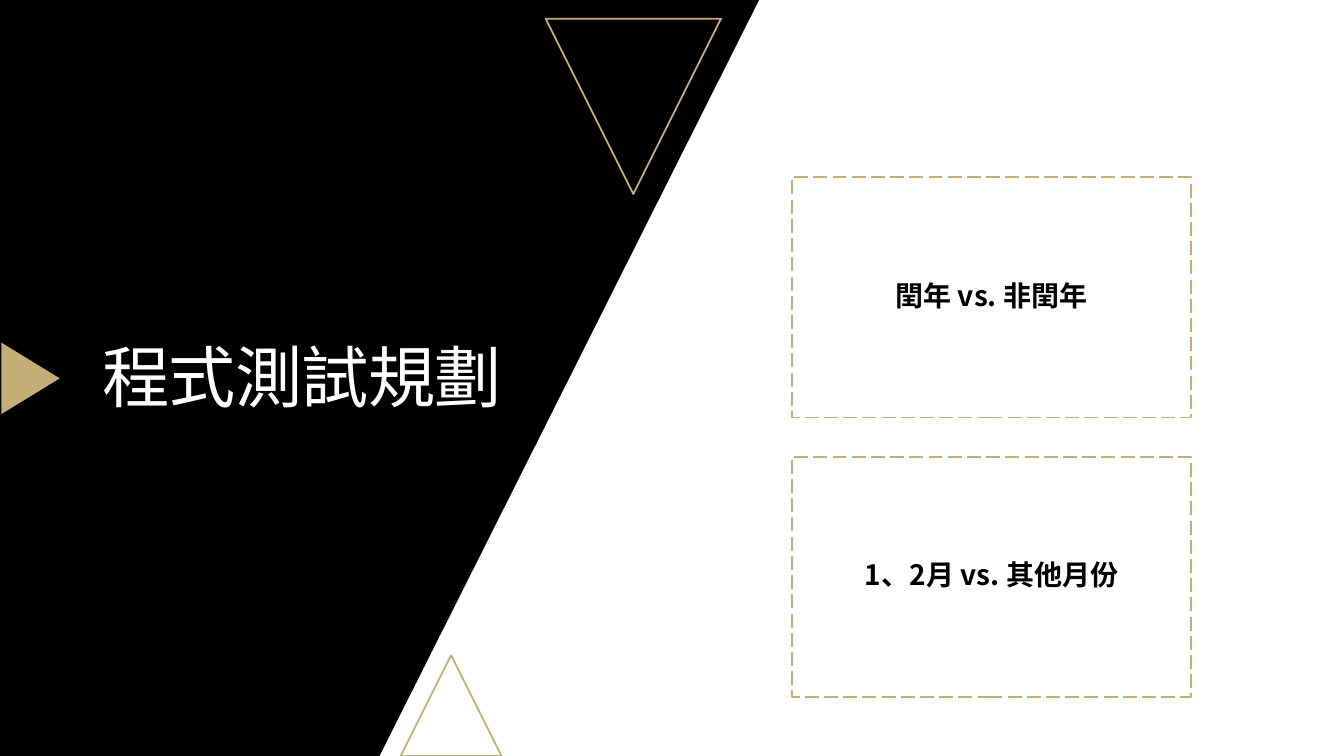
from lxml.etree import SubElement
from pptx import Presentation
from pptx.dml.color import RGBColor
from pptx.enum.dml import MSO_LINE_DASH_STYLE as Dash
from pptx.enum.shapes import MSO_SHAPE as Shape
from pptx.enum.text import MSO_ANCHOR as Anchor, PP_ALIGN as Align
from pptx.oxml.ns import qn
from pptx.util import Cm, Pt

COLORS = {"ink": "000000", "gold": "C4AE75", "paper": "FFFFFF"}
FONT = "Noto Sans CJK TC"
TITLE = "程式測試規劃"
TEST_CASES = ["閏年 vs. 非閏年", "1、2月 vs. 其他月份"]
CARD_MARGINS = {
    "margin_left": Cm(0.2),
    "margin_right": Cm(0.2),
    "margin_top": Cm(0.2),
    "margin_bottom": Cm(0.2),
}
TITLE_FONT = {"size": Pt(48), "name": FONT}
CARD_FONT = {"size": Pt(20), "bold": True, "name": FONT}


def set_all(target, values):
    for name, value in values.items():
        setattr(target, name, value)


def color(name):
    return RGBColor.from_string(COLORS[name])


def paint(outline, fill=None, line=None, dash=None):
    outline.shadow.inherit = False
    if fill:
        outline.fill.solid()
        outline.fill.fore_color.rgb = color(fill)
    else:
        outline.fill.background()
    if line:
        set_all(outline.line, {"width": Pt(1.25), "dash_style": dash})
        outline.line.color.rgb = color(line)
    else:
        outline.line.fill.background()


def write(holder, words, font, ink, space_after=0, tracking=None):
    frame = holder.text_frame
    set_all(frame, {"word_wrap": True, "vertical_anchor": Anchor.MIDDLE})
    paragraph = frame.paragraphs[0]
    set_all(paragraph, {"alignment": Align.CENTER, "line_spacing": 0.9,
                        "space_after": Pt(space_after)})
    run = paragraph.add_run()
    run.text = words
    set_all(run.font, font)
    run.font.color.rgb = color(ink)
    properties = run.font._element
    SubElement(properties, qn("a:ea")).set("typeface", FONT)
    if tracking:
        properties.set("spc", str(tracking))


def add_triangle(slide, left, top, width, height, rotation=0, **look):
    triangle = slide.shapes.add_shape(
        Shape.ISOSCELES_TRIANGLE, left, top, width, height)
    triangle.rotation = rotation
    paint(triangle, **look)


def add_title_panel(slide, left, top, width, height):
    right, bottom = left + width, top + height
    builder = slide.shapes.build_freeform(left, top)
    builder.add_line_segments(
        [(right, top), (left + width // 2, bottom), (left, bottom)])
    paint(builder.convert_to_shape(), fill="ink")

    add_triangle(slide, left + Cm(10.1), bottom - Cm(2.54),
                 Cm(2.54), Cm(2.54), line="gold")
    add_triangle(slide, left + Cm(13.75), top + Cm(0.47),
                 Cm(4.42), Cm(4.42), 180, line="gold")
    add_triangle(slide, left - Cm(0.13), top + Cm(8.8),
                 Cm(1.8), Cm(1.47), 90, fill="gold")

    title = slide.shapes.add_textbox(
        left + Cm(1.52), top + Cm(5.44), Cm(12.19), Cm(8.33))
    write(title, TITLE, TITLE_FONT, "paper", tracking=-50)


def add_test_cards(slide, left, top, width, height, gap=Cm(0.99)):
    count = len(TEST_CASES)
    card_height = (height - gap * (count - 1)) // count
    for index, words in enumerate(TEST_CASES):
        card = slide.shapes.add_shape(
            Shape.RECTANGLE, left, top + index * (card_height + gap),
            width, card_height)
        paint(card, line="gold", dash=Dash.LONG_DASH)
        set_all(card.text_frame, CARD_MARGINS)
        write(card, words, CARD_FONT, "ink", space_after=7)


def main():
    deck = Presentation()
    set_all(deck, {"slide_width": Cm(33.87), "slide_height": Cm(19.05)})
    slide = deck.slides.add_slide(deck.slide_layouts[6])
    slide.background.fill.solid()
    slide.background.fill.fore_color.rgb = color("paper")
    add_title_panel(slide, Cm(0), Cm(0), Cm(19.13), deck.slide_height)
    add_test_cards(slide, Cm(19.96), Cm(4.47), Cm(10.06), Cm(13.09))
    deck.save("out.pptx")


if __name__ == "__main__":
    main()
